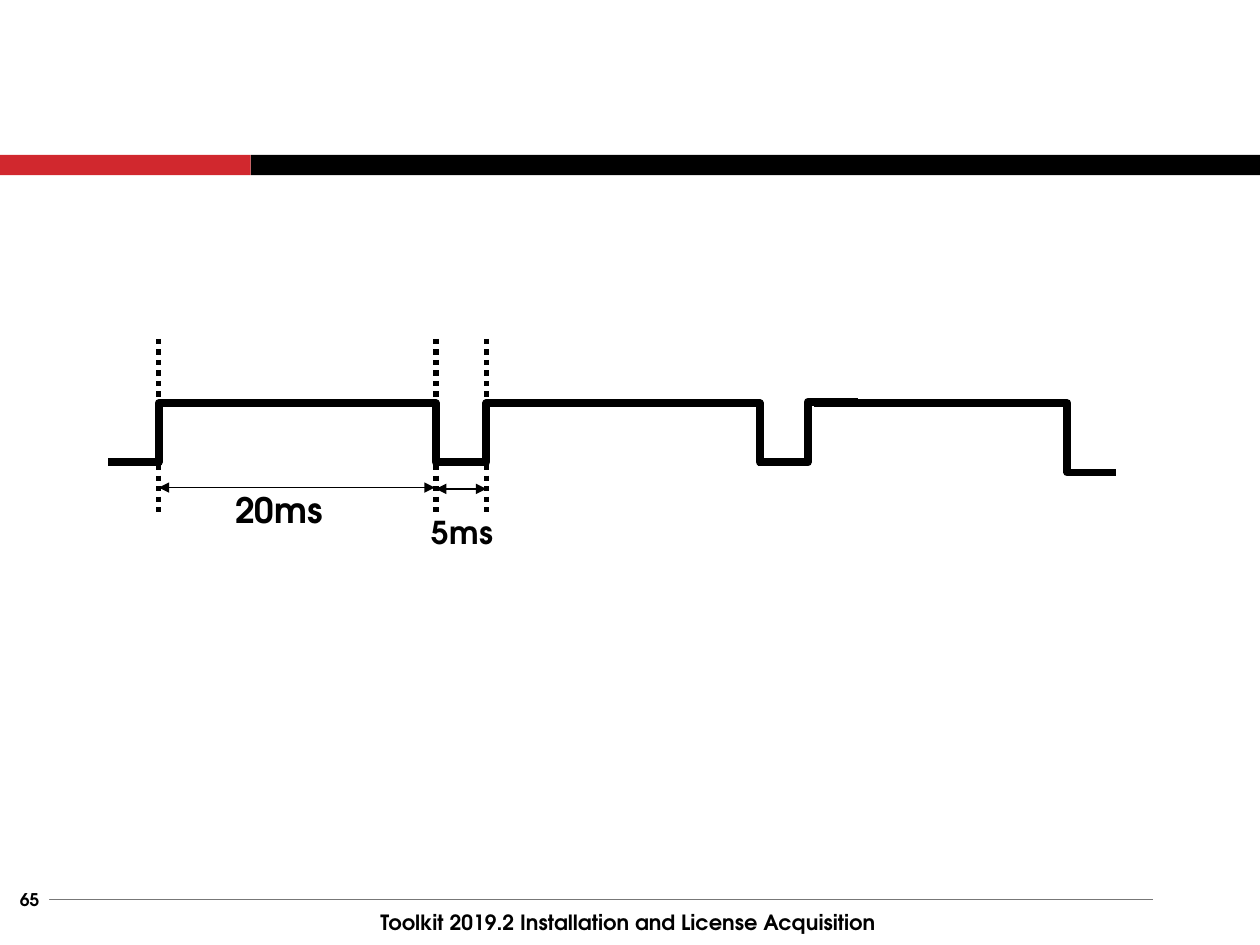
from pptx import Presentation
from pptx.dml.color import RGBColor
from pptx.enum.dml import MSO_LINE
from pptx.enum.shapes import MSO_CONNECTOR, MSO_SHAPE
from pptx.enum.text import MSO_ANCHOR, PP_ALIGN
from pptx.oxml.ns import qn
from pptx.util import Inches, Pt
from lxml.etree import SubElement

COLORS = {"red": "D1282E", "black": "000000", "gray": "777777", "white": "FFFFFF"}
FONT = "TeX Gyre Adventor"

BANNER = [("red", 0, 1.99), ("black", 1.99, 8.01)]
BANNER_TOP, BANNER_HEIGHT = 1.23, 0.16

HIGH, LOW = 3.2, 3.67
EDGES = [
    ((1.41, HIGH), (3.81, LOW), 3.46),
    ((1.66, HIGH), (0.86, LOW), 1.26),
    ((4.01, HIGH), (6.41, LOW), 6.03),
    ((4.26, HIGH), (3.46, LOW), 3.86),
    ((6.46, HIGH), (8.86, 3.75), 8.47),
    ((6.81, 3.19), (6.02, LOW), 6.41),
]
GUIDES = [1.26, 3.86, 3.46]
GUIDE_TOP, GUIDE_BOTTOM = 2.69, 4.1
SPANS = [(1.26, 3.45, 3.87), (3.46, 3.86, 3.88)]

FOOTER = ("Toolkit 2019.2 Installation and License Acquisition", (1.93, 7.14, 6.11, 0.36), 12)
PAGE_NUMBER = ("65", (0.08, 7.02, 0.31, 0.24), 10)
DURATIONS = [("20ms", (1.77, 3.83, 0.9, 0.44), 20), ("5ms", (3.33, 4.02, 0.69, 0.4), 18)]


def color(name):
    return RGBColor.from_string(COLORS[name])


def add_bar(page, name, left, top, width, height):
    bar = page.shapes.add_shape(MSO_SHAPE.RECTANGLE, *map(Inches, (left, top, width, height)))
    bar.shadow.inherit = False
    bar.fill.solid()
    bar.fill.fore_color.rgb = color(name)
    bar.line.fill.background()
    return bar


def add_line(page, start, end, width, name="black", bend_x=None, dash=None, arrows=False):
    kind = MSO_CONNECTOR.STRAIGHT if bend_x is None else MSO_CONNECTOR.ELBOW
    line = page.shapes.add_connector(kind, *map(Inches, (*start, *end)))
    line.line.color.rgb = color(name)
    line.line.width = Pt(width)
    if dash:
        line.line.dash_style = dash
    properties = line._element.spPr
    if arrows:
        for tag in ("a:headEnd", "a:tailEnd"):
            SubElement(properties.find(qn("a:ln")), qn(tag), type="triangle")
    if bend_x is not None:
        bend = (bend_x - start[0]) / (end[0] - start[0])
        adjustments = properties.find(qn("a:prstGeom")).find(qn("a:avLst"))
        SubElement(adjustments, qn("a:gd"), name="adj1", fmla=f"val {round(bend * 100000)}")
    SubElement(properties, qn("a:effectLst"))


def write(box, text, size, align, **frame_format):
    frame = box.text_frame
    for key, value in frame_format.items():
        setattr(frame, key, value)
    para = frame.paragraphs[0]
    para.alignment = align
    span = para.add_run()
    span.text = text
    for key, value in {"name": FONT, "size": Pt(size), "bold": True}.items():
        setattr(span.font, key, value)
    span.font.color.rgb = color("black")


def add_text(page, text, place, size, align, **frame_format):
    box = page.shapes.add_textbox(*map(Inches, place))
    write(box, text, size, align, **frame_format)


def main():
    """Build the pulse timing slide."""
    deck = Presentation()
    deck.slide_width, deck.slide_height = Inches(10), Inches(7.5)
    page = deck.slides.add_slide(deck.slide_layouts[6])

    for name, left, width in BANNER:
        add_bar(page, name, left, BANNER_TOP, width, BANNER_HEIGHT)

    add_line(page, (0.39, 7.14), (9.15, 7.14), 1, "gray")
    middle = {"word_wrap": True, "vertical_anchor": MSO_ANCHOR.MIDDLE}
    add_text(page, *FOOTER, PP_ALIGN.CENTER, **middle)
    number, place, size = PAGE_NUMBER
    margins = {f"margin_{side}": 0 for side in ("left", "top", "right", "bottom")}
    write(add_bar(page, "white", *place), number, size, PP_ALIGN.CENTER, **middle, **margins)

    for start, end, bend_x in EDGES:
        add_line(page, start, end, 4.5, bend_x=bend_x)
    for x in GUIDES:
        add_line(page, (x, GUIDE_TOP), (x, GUIDE_BOTTOM), 3, dash=MSO_LINE.ROUND_DOT)
    for left, right, y in SPANS:
        add_line(page, (left, y), (right, y), 1, arrows=True)
    for text, place, size in DURATIONS:
        add_text(page, text, place, size, PP_ALIGN.LEFT, word_wrap=False)

    deck.save("out.pptx")


if __name__ == "__main__":
    main()
